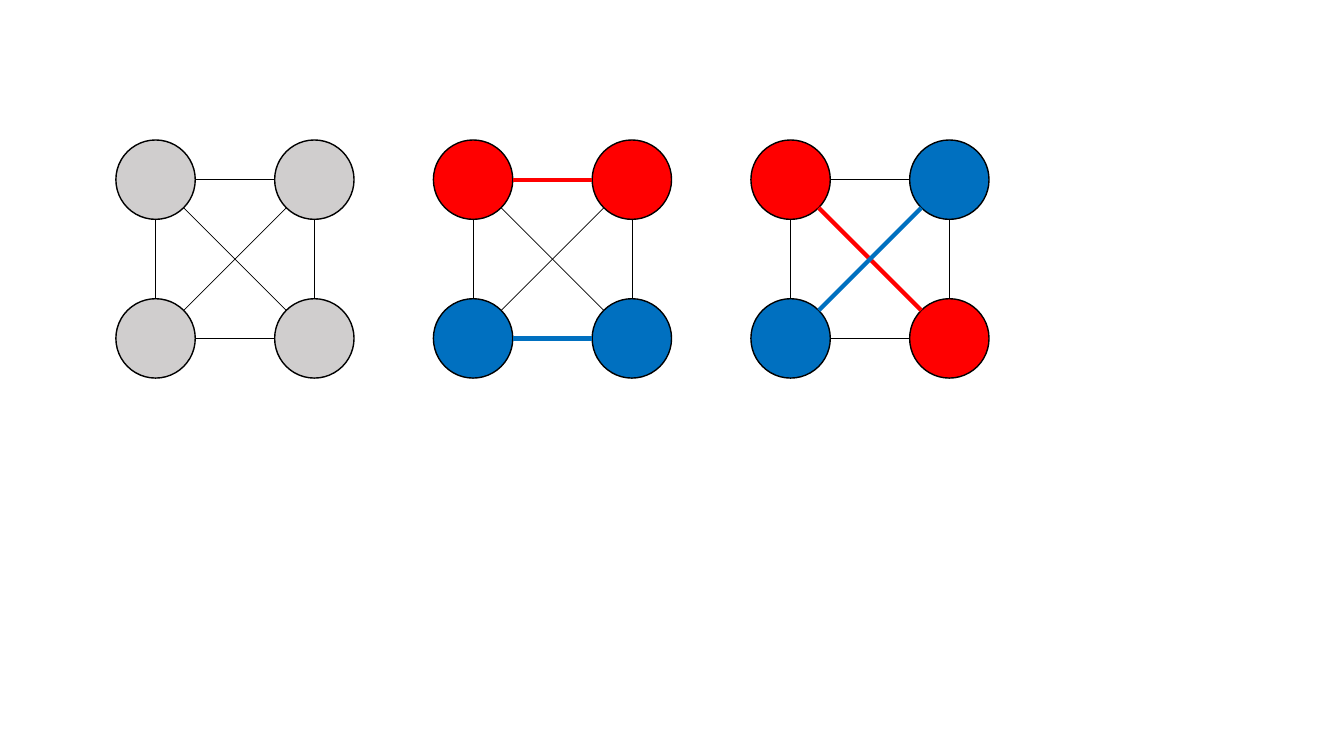
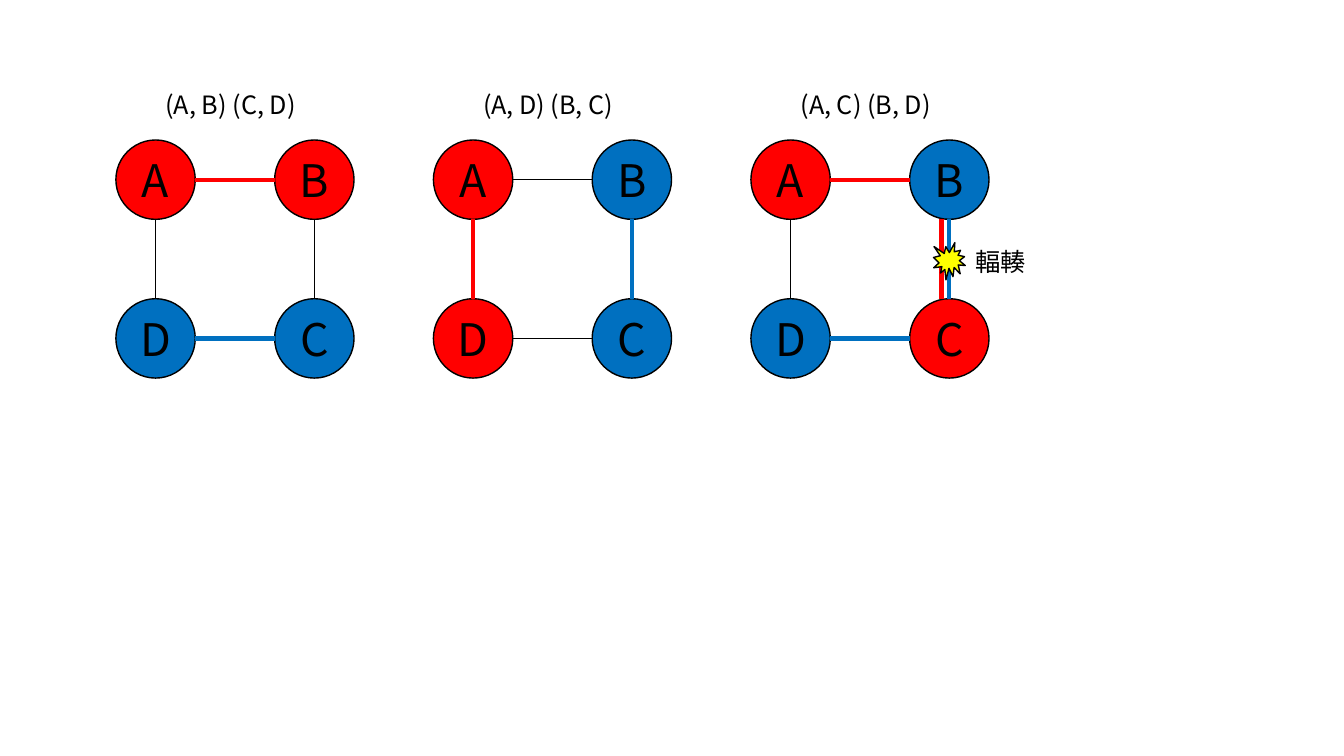
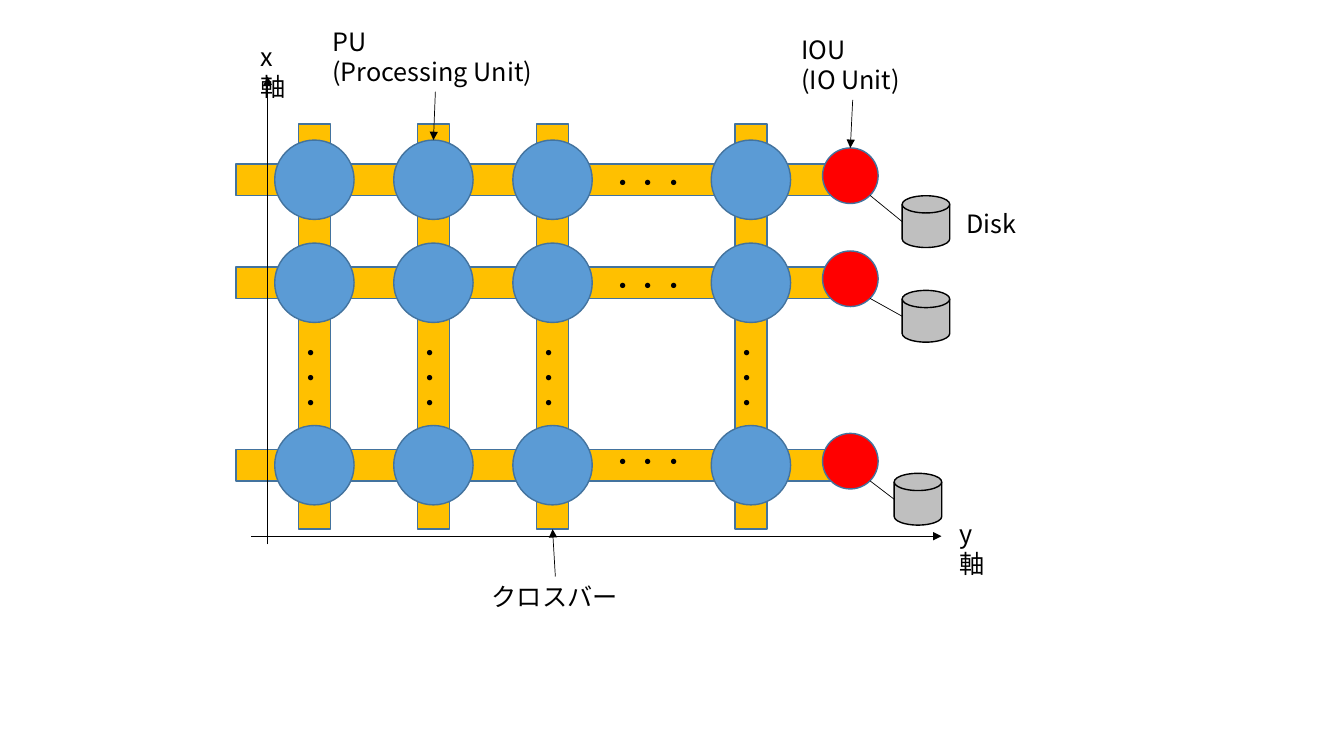
from dataclasses import dataclass
from math import hypot, sqrt

from lxml.etree import SubElement
from pptx import Presentation
from pptx.dml.color import RGBColor
from pptx.enum.shapes import MSO_CONNECTOR, MSO_SHAPE
from pptx.enum.text import MSO_ANCHOR, MSO_AUTO_SIZE, PP_ALIGN
from pptx.oxml.ns import qn
from pptx.util import Pt


@dataclass(frozen=True)
class Theme:
    black: str = "000000"
    red: str = "FF0000"
    blue: str = "0070C0"
    light_gray: str = "D0CECE"
    disk_gray: str = "BFBFBF"
    yellow: str = "FFFF00"
    amber: str = "FFC000"
    unit_blue: str = "5B9BD5"
    unit_outline: str = "43739E"
    font: str = "Noto Sans CJK JP"
    label_size: float = 18
    node_size: float = 32
    outline: float = 1
    thin: float = 0.5
    thick: float = 3


THEME = Theme()
NODE = 56.7  # node diameter
PITCH = 2 * NODE  # distance between node centres in a graph
GRAPH_LEFTS = [82.8 + index * 4 * NODE for index in range(3)]
GRAPH_TOP = 100
CORNERS = {"A": (0, 0), "B": (1, 0), "C": (1, 1), "D": (0, 1)}
RING = ["AB", "BC", "CD", "DA"]
DIAGONALS = ["AC", "BD"]


# Shared drawing helpers
def format_text(text_frame, size):
    for paragraph in text_frame.paragraphs:
        for run in paragraph.runs:
            run.font.size = Pt(size)
            run.font.color.rgb = RGBColor.from_string(THEME.black)
            run.font.name = THEME.font
            SubElement(run.font._element, qn("a:ea"), typeface=THEME.font)


def add_figure(slide, kind, center, size, fill, outline=THEME.black):
    (x, y), (width, height) = center, size
    shape = slide.shapes.add_shape(
        kind, Pt(x - width / 2), Pt(y - height / 2), Pt(width), Pt(height))
    shape.shadow.inherit = False
    shape.fill.solid()
    shape.fill.fore_color.rgb = RGBColor.from_string(fill)
    shape.line.color.rgb = RGBColor.from_string(outline)
    shape.line.width = Pt(THEME.outline)
    return shape


def add_line(slide, start, end, color=THEME.black, width=THEME.thin, arrow=False):
    connector = slide.shapes.add_connector(
        MSO_CONNECTOR.STRAIGHT, *(Pt(value) for value in (*start, *end)))
    connector.line.color.rgb = RGBColor.from_string(color)
    connector.line.width = Pt(width)
    if arrow:
        SubElement(connector.line._get_or_add_ln(), qn("a:tailEnd"), type="triangle")
    SubElement(connector._element.spPr, qn("a:effectLst"))


def add_label(slide, text, left, top, width, height=28.8, wrap=False):
    label = slide.shapes.add_textbox(Pt(left), Pt(top), Pt(width), Pt(height))
    text_frame = label.text_frame
    text_frame.word_wrap = wrap
    text_frame.auto_size = MSO_AUTO_SIZE.SHAPE_TO_FIT_TEXT
    text_frame.text = text
    format_text(text_frame, THEME.label_size)
    return label


def add_dots(slide, x, y, rotation=0):
    width, height = 69.1, 28.8
    dots = add_label(slide, "・・・", x - width / 2, y - height / 2, width, height)
    dots.rotation = rotation


# Four-node graph
def node_centers(left, top):
    return {name: (left + NODE / 2 + column * PITCH, top + NODE / 2 + row * PITCH)
            for name, (column, row) in CORNERS.items()}


def add_edge(slide, start, end, color=None):
    (x1, y1), (x2, y2) = start, end
    share = NODE / 2 / hypot(x2 - x1, y2 - y1)
    dx, dy = (x2 - x1) * share, (y2 - y1) * share
    add_line(slide, (x1 + dx, y1 + dy), (x2 - dx, y2 - dy), color or THEME.black,
             THEME.thick if color else THEME.thin)


def draw_graph(slide, left, top, node_colors, edges, highlights, named=False):
    centers = node_centers(left, top)
    for (name, center), fill in zip(centers.items(), node_colors):
        node = add_figure(slide, MSO_SHAPE.OVAL, center, (NODE, NODE), fill)
        if named:
            text_frame = node.text_frame
            text_frame.text = name
            text_frame.vertical_anchor = MSO_ANCHOR.MIDDLE
            text_frame.paragraphs[0].alignment = PP_ALIGN.CENTER
            format_text(text_frame, THEME.node_size)
    for edge in edges:
        add_edge(slide, centers[edge[0]], centers[edge[1]], highlights.get(edge))


def draw_congestion(slide, left, top):
    centers = node_centers(left, top)
    (x, upper), (_, lower) = centers["B"], centers["C"]
    middle = (upper + lower) / 2
    add_edge(slide, (x - 5.7, upper), (x - 5.7, lower), THEME.red)
    add_edge(slide, (x, upper), (x, lower), THEME.blue)
    add_figure(slide, MSO_SHAPE.EXPLOSION1, (x, middle + 1.6), (22.7, 26.6), THEME.yellow)
    add_label(slide, "輻輳", x + 11.3, middle - 12.5, 51.1)


# Slides with three graphs
def fill_pairing_slide(slide):
    red, blue, gray = THEME.red, THEME.blue, THEME.light_gray
    graphs = [
        ([gray] * 4, {}),
        ([red, red, blue, blue], {"AB": red, "CD": blue}),
        ([red, blue, red, blue], {"AC": red, "BD": blue}),
    ]
    for left, (node_colors, highlights) in zip(GRAPH_LEFTS, graphs):
        draw_graph(slide, left, GRAPH_TOP, node_colors, RING + DIAGONALS, highlights)


def fill_ring_slide(slide):
    red, blue = THEME.red, THEME.blue
    graphs = [
        ("(A, B) (C, D)", [red, red, blue, blue], {"AB": red, "CD": blue}),
        ("(A, D) (B, C)", [red, blue, blue, red], {"DA": red, "BC": blue}),
        ("(A, C) (B, D)", [red, blue, red, blue], {"AB": red, "CD": blue}),
    ]
    for left, (caption, node_colors, highlights) in zip(GRAPH_LEFTS, graphs):
        draw_graph(slide, left, GRAPH_TOP, node_colors, RING, highlights, named=True)
        add_label(slide, caption, left + NODE / 2, GRAPH_TOP - 39.5, 117.4)
    draw_congestion(slide, GRAPH_LEFTS[-1], GRAPH_TOP)


# Crossbar network
def draw_crossbars(slide, left, top, width, height, columns, rows):
    thickness = 22.7
    for x in columns:
        add_figure(slide, MSO_SHAPE.RECTANGLE, (x, top + height / 2),
                   (thickness, height), THEME.amber, THEME.unit_outline)
    for y in rows:
        add_figure(slide, MSO_SHAPE.RECTANGLE, (left + width / 2, y),
                   (width, thickness), THEME.amber, THEME.unit_outline)
    for y in rows:
        for x in columns:
            add_figure(slide, MSO_SHAPE.OVAL, (x, y), (NODE, NODE),
                       THEME.unit_blue, THEME.unit_outline)
    for y, offset in zip(rows, (2.1, 2.1, -2.5)):
        add_dots(slide, left + 295.2, y + offset)
    for x in columns:
        add_dots(slide, x - 2.2, top + 182.2, rotation=90)


def draw_io_units(slide, x, rows, diameter):
    disk_width, disk_height = 34, 37
    reach = diameter / 2 / sqrt(2)
    for y, dx, dy in zip(rows, (54, 54, 48.3), (32.8, 26.8, 27.2)):
        center_y = y - 2.9
        add_figure(slide, MSO_SHAPE.OVAL, (x, center_y), (diameter, diameter),
                   THEME.red, THEME.unit_outline)
        disk = (x + dx, center_y + dy)
        add_figure(slide, MSO_SHAPE.FLOWCHART_MAGNETIC_DISK, disk,
                   (disk_width, disk_height), THEME.disk_gray)
        add_line(slide, (x + reach, center_y + reach), (disk[0] - disk_width / 2, disk[1]))


def draw_axes(slide, left, top, bottom):
    add_line(slide, (left + 10.8, bottom + 5), (left + 504, bottom + 5), arrow=True)
    add_line(slide, (left + 22.7, bottom + 10.8), (left + 22.7, top - 33.8), arrow=True)
    add_label(slide, "y軸", left + 509.7, bottom - 11.5, 40, wrap=True)
    add_label(slide, "x軸", left + 10.8, top - 62.6, 40, wrap=True)


def fill_network_slide(slide, left=168.5, top=88.5, width=430.5, height=289.5):
    columns = [left + offset for offset in (56.1, 141.1, 226.2, 367.9)]
    rows = [top + offset for offset in (39.9, 113.5, 243.8)]
    bottom = top + height
    io_x, io_diameter = left + 438.9, 39.7
    draw_crossbars(slide, left, top, width, height, columns, rows)
    draw_io_units(slide, io_x, rows, io_diameter)
    draw_axes(slide, left, top, bottom)

    # Labels and their pointers
    add_label(slide, "PU\n(Processing Unit)", left + 61.9, top - 73.4, 161.3, 51)
    add_line(slide, (columns[1] + 1.4, top - 23), (columns[1], rows[0] - NODE / 2), arrow=True)
    add_label(slide, "IOU\n(IO Unit)", left + 396.7, top - 67.6, 87.8, 51)
    add_line(slide, (io_x + 1.7, top - 17.2),
             (io_x, rows[0] - 2.9 - io_diameter / 2), arrow=True)
    add_label(slide, "Disk", left + 514.8, top + 56.9, 51.8)
    add_label(slide, "クロスバー", left + 175.7, bottom + 33.8, 105.1)
    add_line(slide, (columns[2] + 2, bottom + 33.8), (columns[2], bottom), arrow=True)


presentation = Presentation()
presentation.slide_width = Pt(960)
presentation.slide_height = Pt(540)
blank_layout = presentation.slide_layouts[6]
for fill_slide in (fill_pairing_slide, fill_ring_slide, fill_network_slide):
    fill_slide(presentation.slides.add_slide(blank_layout))
presentation.save("out.pptx")
